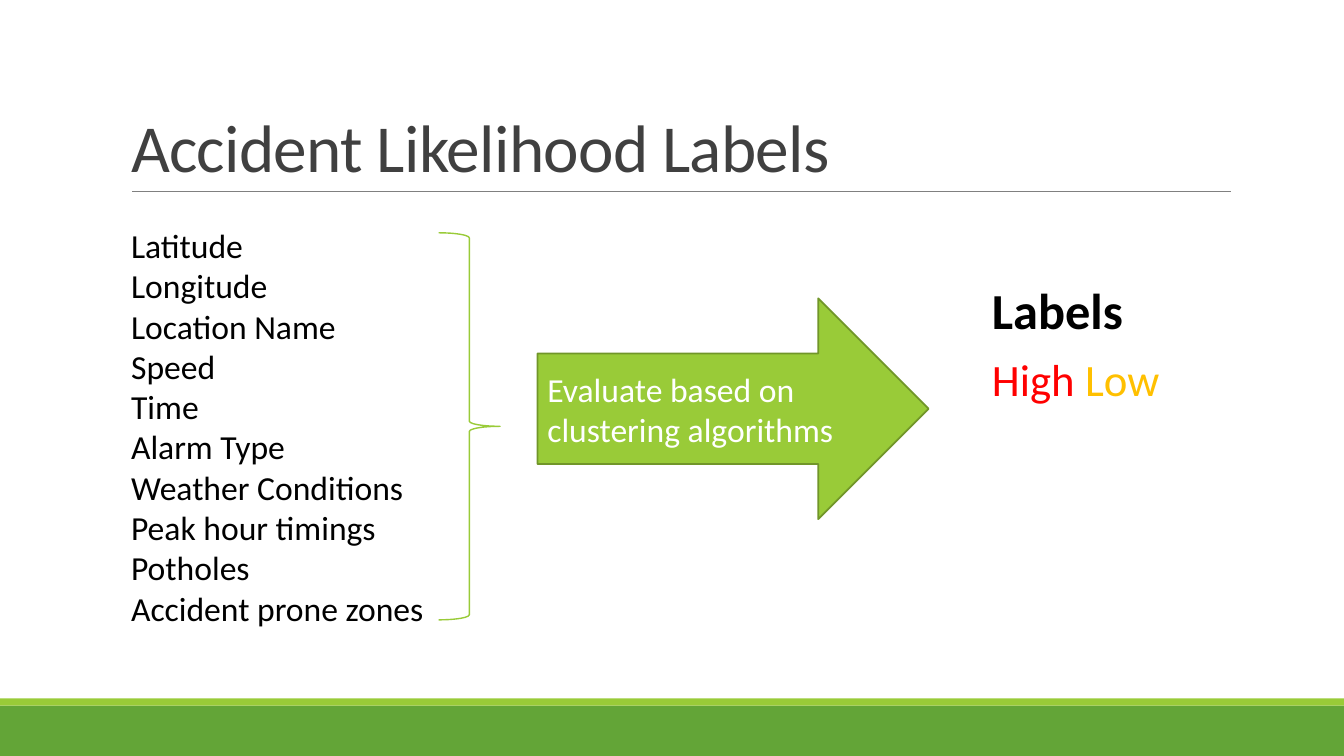
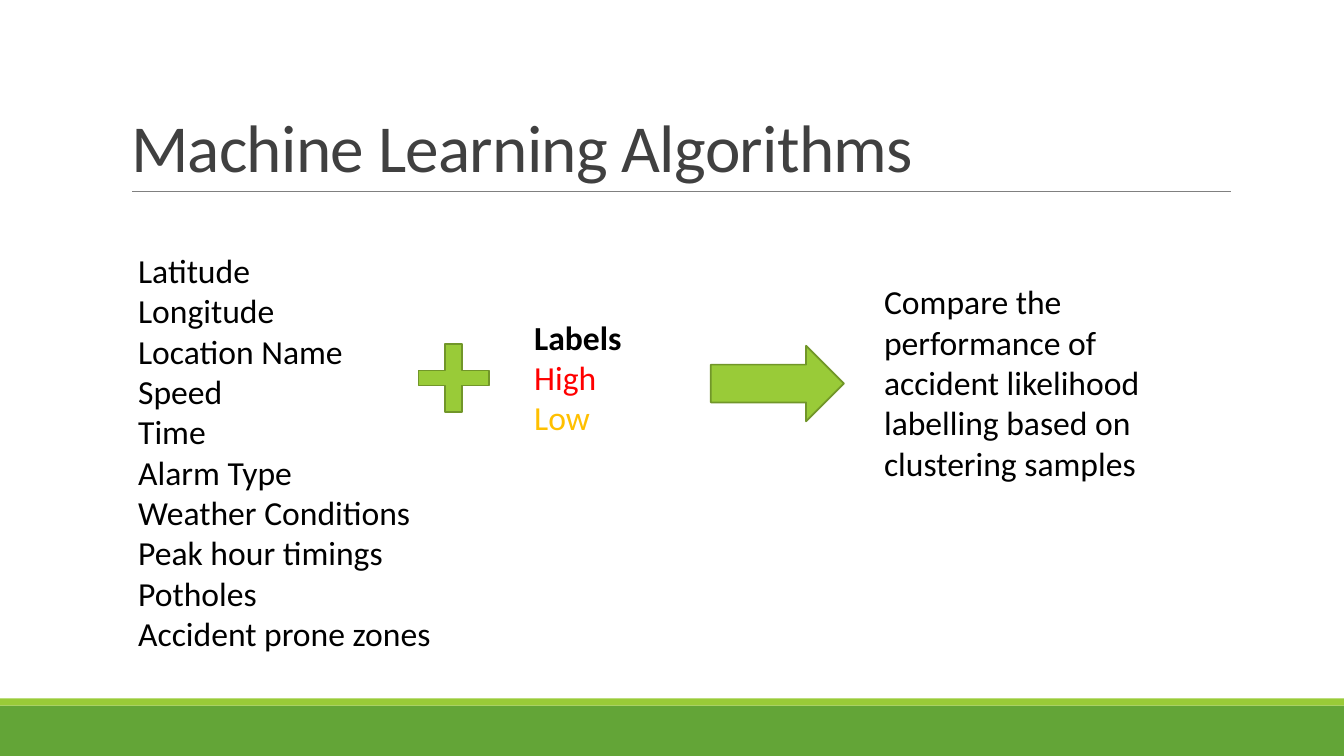
from dataclasses import dataclass

from lxml import etree
from pptx import Presentation
from pptx import util as u
from pptx.dml.color import RGBColor
from pptx.enum import shapes, text
from pptx.oxml import ns


@dataclass(frozen=True)
class Theme:
    font: str = "Calibri"
    dark_green: str = "63A537"
    green: str = "99CB38"
    outline: str = "719629"
    rule: str = "808080"
    title: str = "404040"
    ink: str = "000000"
    white: str = "FFFFFF"
    high: str = "FF0000"
    low: str = "FFC000"
    title_size: int = 48
    heading_size: int = 36
    label_size: int = 32
    body_size: int = 24


THEME = Theme()
SLIDE_WIDTH, SLIDE_HEIGHT = 13.33, 7.5
TITLE_BOX = (1.2, 0.31, 11, 1.59)
SHAPE = shapes.MSO_SHAPE
FEATURES = ["Latitude", "Longitude", "Location Name", "Speed", "Time",
            "Alarm Type", "Weather Conditions", "Peak hour timings",
            "Potholes", "Accident prone zones"]


def inches(box):
    return [u.Inches(length) for length in box]


def set_format(target, values):
    for name, value in values.items():
        setattr(target, name, value)


def place(shape, box):
    set_format(shape, dict(zip(("left", "top", "width", "height"), inches(box))))


def write(shape, lines, size=THEME.body_size, para_format=None, **frame_format):
    """Fill a shape; each line is a list of (wording, colour, bold) spans."""
    frame = shape.text_frame
    set_format(frame, {"word_wrap": True, "auto_size": text.MSO_AUTO_SIZE.NONE,
                       **frame_format})
    for index, line in enumerate(lines):
        para = frame.add_paragraph() if index else frame.paragraphs[0]
        set_format(para, {"alignment": text.PP_ALIGN.LEFT, **(para_format or {})})
        for wording, colour, bold in line:
            span = para.add_run()
            span.text = wording
            set_format(span.font, {"name": THEME.font, "size": u.Pt(size), "bold": bold})
            span.font.color.rgb = RGBColor.from_string(colour)
    return frame


def add_text(page, box, lines, size=THEME.body_size):
    write(page.shapes.add_textbox(*inches(box)), lines, size)


def add_figure(page, kind, box, fill=None, line=None, weight=1.25):
    figure = page.shapes.add_shape(kind, *inches(box))
    figure.shadow.inherit = False
    if fill:
        figure.fill.solid()
        figure.fill.fore_color.rgb = RGBColor.from_string(fill)
    else:
        figure.fill.background()
    if line:
        figure.line.color.rgb = RGBColor.from_string(line)
        figure.line.width = u.Pt(weight)
    else:
        figure.line.fill.background()
    return figure


def add_green_figure(page, kind, box):
    return add_figure(page, kind, box, THEME.green, THEME.outline)


def add_rule(page, left, right, top):
    rule = page.shapes.add_connector(shapes.MSO_CONNECTOR.STRAIGHT,
                                     *inches((left, top, right, top)))
    rule.line.color.rgb = RGBColor.from_string(THEME.rule)
    rule.line.width = u.Pt(0.5)
    etree.SubElement(rule.element.spPr, ns.qn("a:effectLst"))
    return rule


def furnish_layout(layout, page):
    """Draw the bands and title rule on a page, then move them to its layout."""
    band_height, strip_height = 0.5, 0.07
    band_top = SLIDE_HEIGHT - band_height
    furniture = [
        add_figure(page, SHAPE.RECTANGLE,
                   (0, band_top, SLIDE_WIDTH, band_height), THEME.dark_green),
        add_figure(page, SHAPE.RECTANGLE,
                   (0, band_top - strip_height, SLIDE_WIDTH, strip_height), THEME.green),
        add_rule(page, 1.31, 12.21, 1.9),
    ]
    for index, part in enumerate(furniture, start=2):
        layout.shapes.element.insert(index, part.element)
    place(layout.placeholders[0], TITLE_BOX)


def set_title(page, wording):
    frame = write(page.shapes.title, [[(wording, THEME.title, False)]],
                  THEME.title_size, {"line_spacing": 0.85},
                  vertical_anchor=text.MSO_ANCHOR.BOTTOM)
    frame.paragraphs[0].runs[0].font._element.set("spc", "-50")


def set_features(page, left, top):
    body = page.placeholders[1]
    place(body, (left, top, 3.15, 4.54))
    frame = write(body, [[(feature, THEME.ink, False)] for feature in FEATURES],
                  para_format={"space_before": u.Pt(0)})
    for para in frame.paragraphs:
        properties = para._p.get_or_add_pPr()
        properties.set("marL", "0")
        properties.set("indent", "0")
        etree.SubElement(properties, ns.qn("a:buNone"))


def build_labels_slide(page):
    set_title(page, "Accident Likelihood Labels")
    set_features(page, 1.2, 2.18)
    add_figure(page, SHAPE.RIGHT_BRACE, (4.35, 2.31, 0.61, 3.84),
               line=THEME.green, weight=1)
    arrow = add_green_figure(page, SHAPE.RIGHT_ARROW, (5.33, 2.96, 3.88, 2.19))
    write(arrow, [[("Evaluate based on clustering algorithms", THEME.white, False)]],
          vertical_anchor=text.MSO_ANCHOR.MIDDLE)
    add_text(page, (9.74, 2.72, 2.46, 0.71), [[("Labels", THEME.ink, True)]],
             THEME.heading_size)
    add_text(page, (9.74, 3.44, 1.86, 1.18),
             [[("High ", THEME.high, False), ("Low", THEME.low, False)]],
             THEME.label_size)


def build_algorithms_slide(page):
    set_title(page, "Machine Learning Algorithms")
    set_features(page, 1.27, 2.43)
    plus = add_green_figure(page, SHAPE.CROSS, (4.15, 3.41, 0.7, 0.68))
    plus.adjustments[0] = 0.39
    add_text(page, (5.2, 3.09, 1.86, 1.31),
             [[("Labels", THEME.ink, True)],
              [("High", THEME.high, False)],
              [("Low", THEME.low, False)]])
    add_green_figure(page, SHAPE.RIGHT_ARROW, (7.05, 3.43, 1.32, 0.75))
    add_text(page, (8.67, 2.74, 3.4, 2.12),
             [[("Compare the performance of accident likelihood labelling "
                "based on clustering samples", THEME.ink, False)]])


def main():
    deck = Presentation()
    set_format(deck, {"slide_width": u.Inches(SLIDE_WIDTH),
                      "slide_height": u.Inches(SLIDE_HEIGHT)})
    layout = deck.slide_layouts[1]
    builders = (build_labels_slide, build_algorithms_slide)
    pages = [deck.slides.add_slide(layout) for _ in builders]
    furnish_layout(layout, pages[0])
    for build, page in zip(builders, pages):
        build(page)
    deck.save("out.pptx")


if __name__ == "__main__":
    main()
